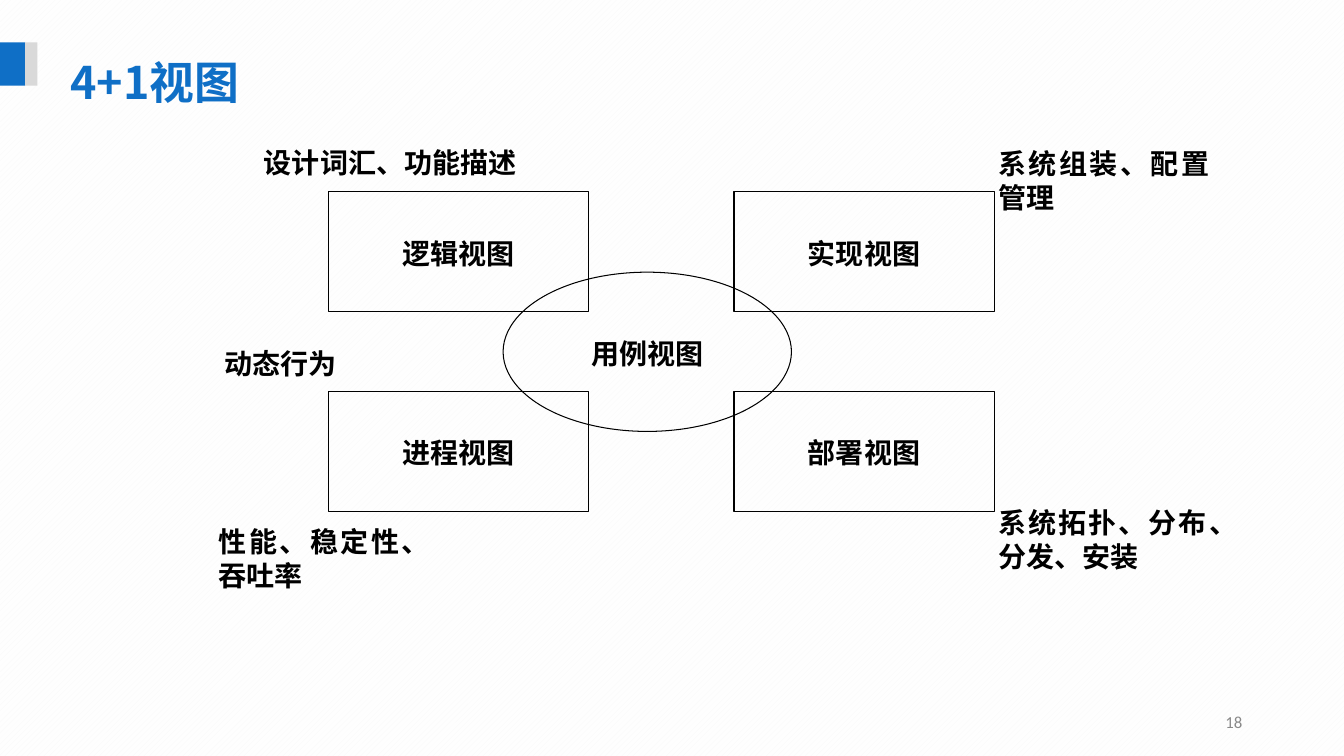
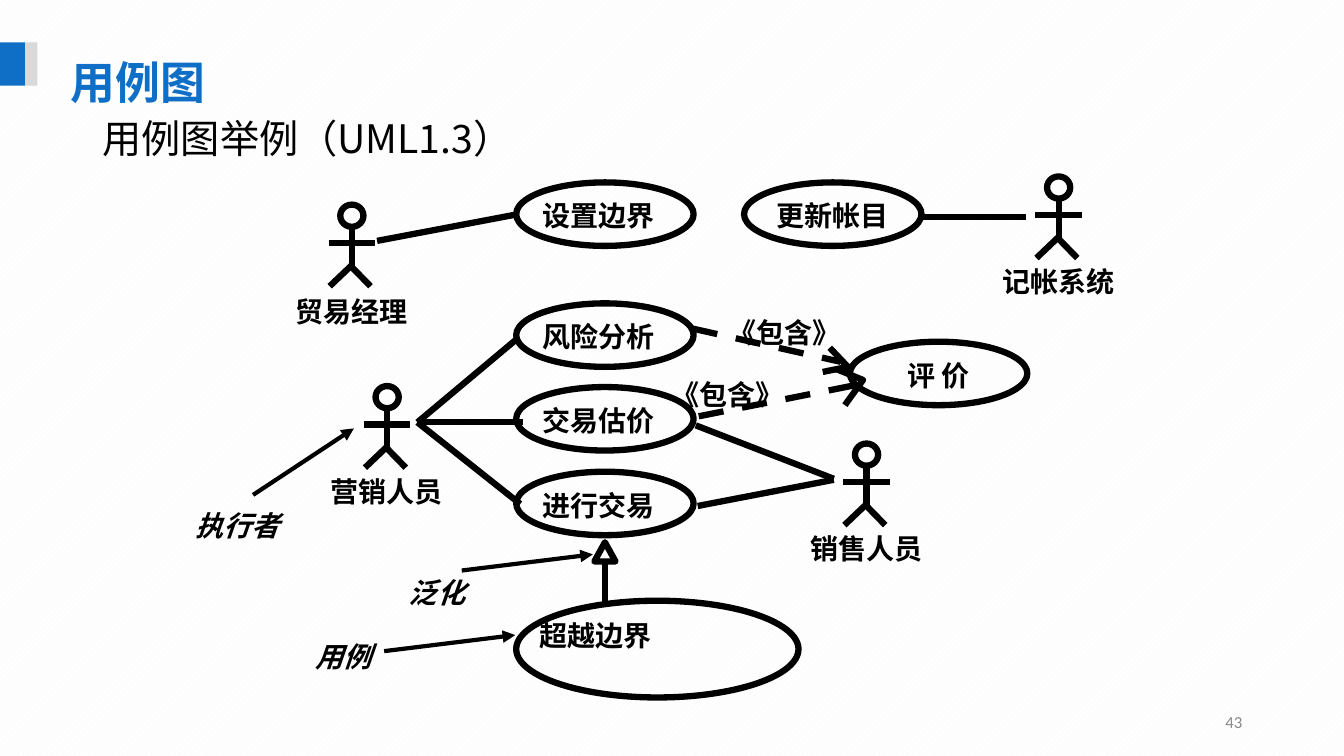
from lxml import etree
from pptx import Presentation
from pptx.dml.color import RGBColor
from pptx.enum.dml import MSO_LINE, MSO_PATTERN
from pptx.enum.shapes import MSO_CONNECTOR, MSO_SHAPE as SH
from pptx.enum.text import MSO_ANCHOR as VA, PP_ALIGN as AL
from pptx.oxml.ns import qn
from pptx.util import Inches, Pt

CELL = 0.1  # grid cell in inches; every length below counts cells
BLUE, GRAY, BLACK, NUMBER = "0F6FC6", "D9D9D9", "000000", "898989"
TITLE_FONT, BODY_FONT = "Noto Sans CJK SC", "Times New Roman"
THIN, ARROW, THICK = 0.75, 3, 4.5


def rgb(value):
    return RGBColor.from_string(value)


def grid(*cells):
    return [Inches(c * CELL) for c in cells]


class Deck:
    """Shared style and the slide being drawn."""

    label_format = dict(size=Pt(20), name=BODY_FONT, bold=True)

    def __init__(self):
        self.prs = Presentation()
        self.prs.slide_width, self.prs.slide_height = Inches(13.33), Inches(7.5)

    def slide(self, title, number):
        self.s = self.prs.slides.add_slide(self.prs.slide_layouts[6])
        fill = self.s.background.fill
        fill.patterned()
        fill.pattern = MSO_PATTERN.WIDE_UPWARD_DIAGONAL
        fill.fore_color.rgb, fill.back_color.rgb = rgb("F9F9F9"), rgb("FEFEFE")
        self.shape(SH.RECTANGLE, 0, 4.2, 2.5, 4.3, fill=BLUE)
        self.shape(SH.RECTANGLE, 2.5, 4.2, 1.2, 4.3, fill=GRAY)
        self.text(title, 6, 4.1, 78.2, 6.4, color=BLUE, size=Pt(32), name=TITLE_FONT)
        self.text(number, 94.2, 69.5, 30, 4, AL.RIGHT, VA.MIDDLE, color=NUMBER,
                  size=Pt(12), name="Calibri", bold=False)

    def put_text(self, shape, text, align, anchor, inset, color=BLACK, **changes):
        tf = shape.text_frame
        margins = grid(inset, inset + 0.3, inset, inset)
        sides = ("margin_left", "margin_top", "margin_right", "margin_bottom")
        frame = dict(zip(sides, margins), word_wrap=True, vertical_anchor=anchor)
        for key, value in frame.items():
            setattr(tf, key, value)
        p = tf.paragraphs[0]
        p.alignment = align
        r = p.add_run()
        r.text = text
        font = {**self.label_format, **changes}
        for key, value in font.items():
            setattr(r.font, key, value)
        r.font.color.rgb = rgb(color)
        p.line_spacing = Pt(round(font["size"].pt * 1.21, 1))
        # East Asian typeface
        etree.SubElement(r._r.get_or_add_rPr(), qn("a:ea")).set("typeface", TITLE_FONT)

    def text(self, text, x, y, w, h, align=AL.LEFT, anchor=VA.TOP, inset=1, **changes):
        box = self.s.shapes.add_textbox(*grid(x, y, w, h))
        self.put_text(box, text, align, anchor, inset, **changes)

    def label(self, text, x, y, w, h, align=AL.CENTER, **changes):
        self.text(text, x, y, w, h, align, inset=0.1, **changes)

    def paint(self, shape, fill=None, line=None):
        shape.shadow.inherit = False
        if fill:
            shape.fill.solid()
            shape.fill.fore_color.rgb = rgb(fill)
        else:
            shape.fill.background()
        if line:
            self.stroke(shape.line, line)
        else:
            shape.line.fill.background()

    def stroke(self, line, width):
        line.width = Pt(width)
        line.color.rgb = rgb(BLACK)

    def shape(self, kind, x, y, w, h, text="", align=AL.CENTER, inset=0, **look):
        sp = self.s.shapes.add_shape(kind, *grid(x, y, w, h))
        self.paint(sp, **look)
        if text:
            self.put_text(sp, text, align, VA.MIDDLE, inset)

    def use_case(self, text, x, y, w=17.6, h=6.3, align=AL.LEFT):
        self.shape(SH.OVAL, x, y, w, h, text, align, line=THICK)

    def line(self, x1, y1, x2, y2, width=THICK, dash=None, head=False):
        c = self.s.shapes.add_connector(MSO_CONNECTOR.STRAIGHT, *grid(x1, y1, x2, y2))
        self.stroke(c.line, width)
        if dash:
            c.line.dash_style = dash
        spPr = c._element.spPr
        if head:
            etree.SubElement(spPr.find(qn("a:ln")), qn("a:tailEnd")).set("type", "triangle")
        etree.SubElement(spPr, qn("a:effectLst"))

    def pointer(self, x1, y1, x2, y2):
        self.line(x1, y1, x2, y2, ARROW, head=True)

    def include(self, start, end, *head):
        """Dashed dependency with an open arrowhead."""
        self.line(*start, *end, dash=MSO_LINE.DASH)
        first, *rest = [grid(*point) for point in head]
        builder = self.s.shapes.build_freeform(*first)
        builder.add_line_segments(rest, close=False)
        self.paint(builder.convert_to_shape(), line=THICK)

    def actor(self, name, x, y, label_x, label_y, label_w):
        """Stick figure: x is its axis, y the top of its head."""
        self.shape(SH.OVAL, x - 1.15, y, 2.3, 2.2, line=THICK)
        limbs = [(-2.3, 3.8, 2.3, 3.8), (0, 2.2, 0, 6.3),
                 (0, 6, -2.2, 8.1), (0, 6.2, 1.85, 8.1)]
        for x1, y1, x2, y2 in limbs:
            self.line(x + x1, y + y1, x + x2, y + y2)
        self.label(name, label_x, label_y, label_w, 4)


def views_slide(d):
    d.slide("4+1视图", "18")
    # Four views around the use case view
    views = [["逻辑视图", "实现视图"], ["进程视图", "部署视图"]]
    for row, names in enumerate(views):
        for col, name in enumerate(names):
            d.shape(SH.RECTANGLE, 32.6 + 40.2 * col, 19 + 19.8 * row, 25.8, 11.9,
                    name, inset=1, line=THIN)
    d.shape(SH.OVAL, 49.9, 27, 28.6, 15.8, "用例视图", line=THIN)
    # Concerns of each view
    for text, x, y, w, h in [
        ("动态行为", 21.3, 33, 20, 5.9),
        ("设计词汇、功能描述", 25.2, 13.1, 43, 5.9),
        ("系统组装、配置管理", 98, 13.2, 22.9, 18.3),
        ("性能、稳定性、吞吐率", 20.7, 50.7, 22.9, 18.3),
        ("系统拓扑、分布、分发、安装", 98, 48.8, 22.9, 18.3),
    ]:
        d.text(text, x, y, w, h, AL.JUSTIFY)


def use_case_slide(d):
    d.slide("用例图", "43")
    d.text("用例图举例（UML1.3）", 9.2, 6.3, 115, 14.5, anchor=VA.MIDDLE,
           size=Pt(28), name=TITLE_FONT, bold=False)
    # Use cases
    left = 51.2
    for name, y in [("设置边界", 18.1), ("风险分析", 30.1), ("交易估价", 38.4), ("进行交易", 46.8)]:
        d.use_case(name, left, y)
    d.use_case("更新帐目", 73.8, 18.1, align=AL.CENTER)
    d.use_case("评 价", 84.3, 33.9, align=AL.CENTER)
    d.use_case("", left, 59.6, 28, 9.6)
    d.label("超越边界", 53.4, 60.9, 21.6, 6.6, AL.LEFT)
    # Actors
    d.actor("贸易经理", 34.9, 20.3, 25.2, 28.8, 19.4)
    d.actor("记帐系统", 105, 17.5, 97.4, 25.8, 15.1)
    d.actor("营销人员", 38.4, 38.3, 32.4, 46.6, 11.9)
    d.actor("销售人员", 85.95, 44, 77.9, 52.3, 16.1)
    # Associations
    for ends in [
        (37.4, 23.9, 51.1, 21.3), (91.3, 21.5, 101.8, 21.5),
        (41.4, 41.9, 51.3, 33.6), (41.4, 41.9, 51.9, 41.9), (41.4, 41.9, 51.6, 50),
        (69, 42.2, 82.7, 47.5), (69.2, 50.2, 82.7, 47.6),
    ]:
        d.line(*ends)
    # Include dependencies
    d.include((68.7, 32.6), (83.4, 35.9), (81.6, 36.9), (84.1, 36.4), (82.3, 34.5))
    d.include((69.3, 41.3), (84.9, 38.2), (82.9, 36.6), (85.6, 37.7), (83.8, 40.2))
    d.label("《包含》", 71.2, 30.9, 13.2, 4)
    d.label("《包含》", 65.9, 37, 12.5, 4)
    # Generalization
    d.shape(SH.ISOSCELES_TRIANGLE, 58.95, 53.8, 2.1, 1.9, line=THICK)
    d.line(60, 55.7, 60, 59.9)
    # Notation names with pointers
    for name, x, y, w, ends in [
        ("泛化", 36.7, 56.7, 13.3, (45.8, 56.6, 58.8, 55)),
        ("用例", 29.5, 63, 9.2, (38.1, 64.6, 51.1, 63)),
        ("执行者", 17.8, 50, 11.6, (25.1, 49.1, 35.1, 42.5)),
    ]:
        d.label(name, x, y, w, 4, italic=True)
        d.pointer(*ends)


def main():
    d = Deck()
    views_slide(d)
    use_case_slide(d)
    d.prs.save("out.pptx")


if __name__ == "__main__":
    main()
